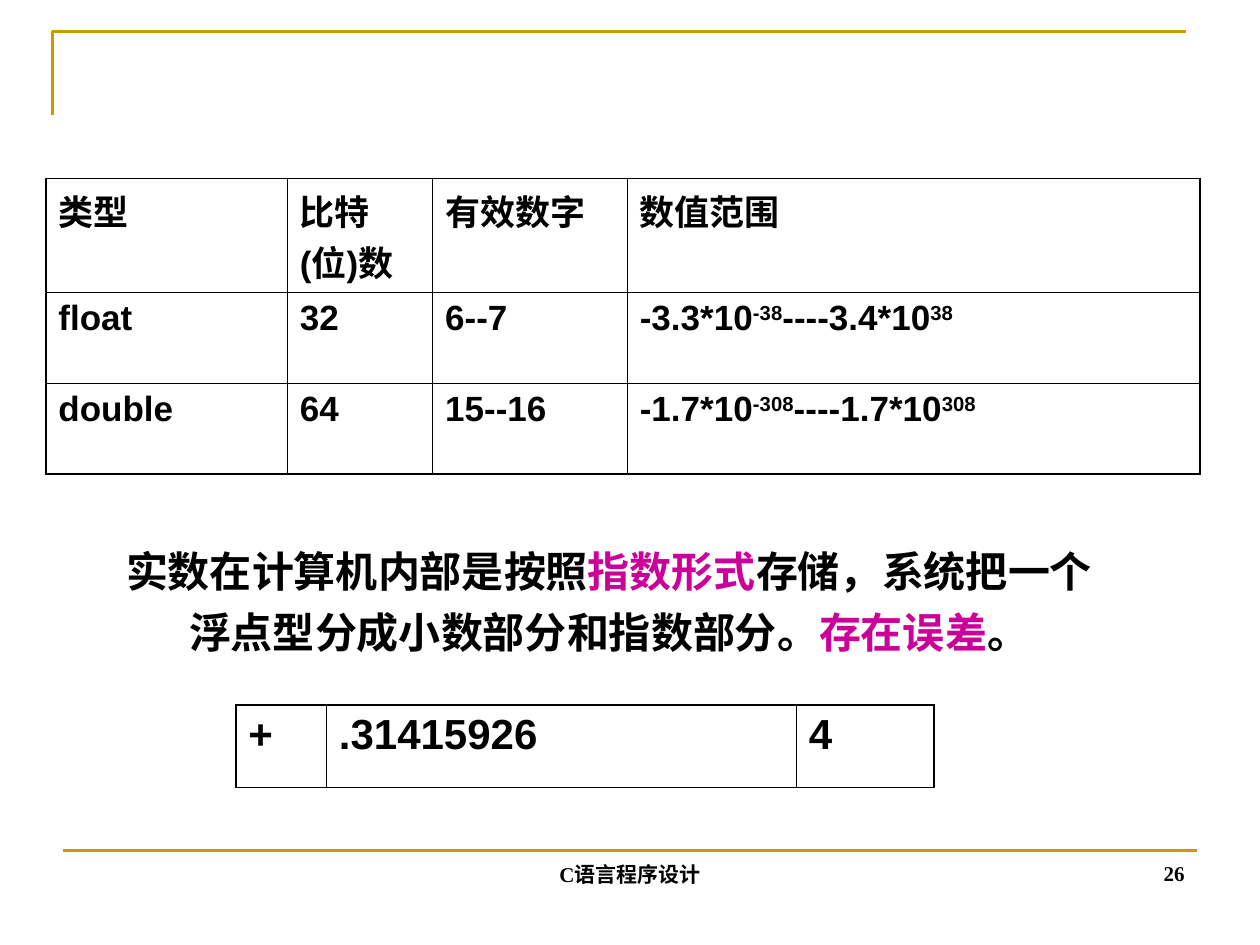
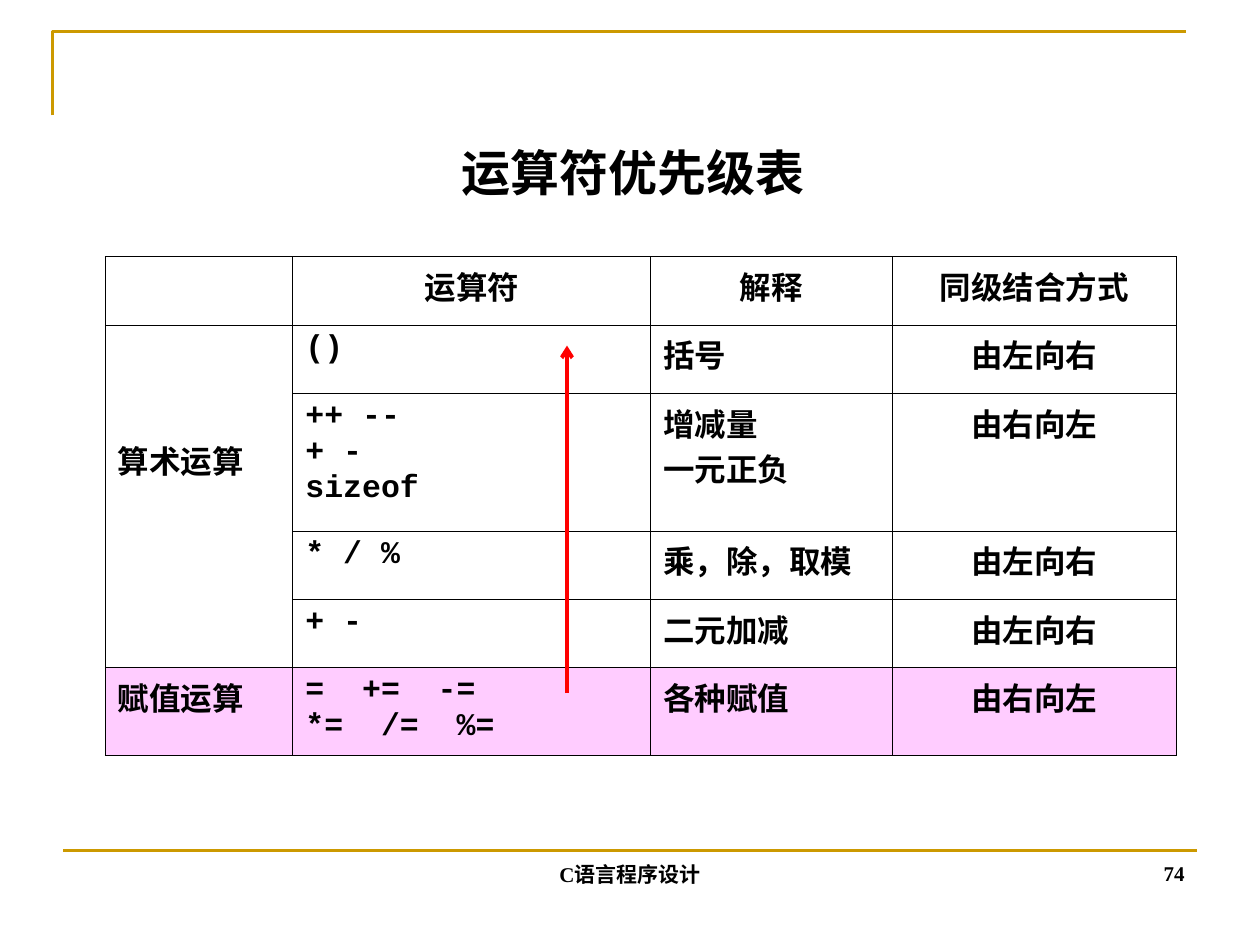
"""Build two C programming slides: real number types and operator precedence."""
import lxml.etree
import pptx
import pptx.dml.color
import pptx.enum.shapes
import pptx.enum.text
import pptx.oxml.ns
import pptx.util

Pt = pptx.util.Pt
ALIGN = pptx.enum.text.PP_ALIGN
ANCHOR = pptx.enum.text.MSO_ANCHOR
STRAIGHT = pptx.enum.shapes.MSO_CONNECTOR.STRAIGHT

BLACK, WHITE, GOLD = "000000", "FFFFFF", "CC9900"
MAGENTA, PINK, RED = "CC0099", "FFCCFF", "FF0000"
SANS, MONO, SERIF = "Arial", "Courier New", "Times New Roman"
THICK, THIN = 1.08, 0.45
FOOTER = "C语言程序设计"

REAL_TYPES = [
    ["类型", "比特(位)数", "有效数字", "数值范围"],
    ["float", "32", "6--7", [["-3.3*10", ("-38", "super"), "----3.4*10", ("38", "super")]]],
    ["double", "64", "15--16", [["-1.7*10", ("-308", "super"), "----1.7*10", ("308", "super")]]],
]
STORED_NUMBER = [["+", ".31415926", "4"]]
STORAGE_NOTE = [
    ["实数在计算机内部是按照", ("指数形式", MAGENTA), "存储，系统把一个"],
    ["浮点型分成小数部分和指数部分。", ("存在误差", MAGENTA), "。"],
]
PRECEDENCE_TITLE = "运算符优先级表"
PRECEDENCE = [
    ["", "运算符", "解释", "同级结合方式"],
    ["算术运算", "()", "括号", "由左向右"],
    ["", ["++ --", "+ -", "sizeof"], ["增减量", "一元正负"], "由右向左"],
    ["", "* / %", "乘，除，取模", "由左向右"],
    ["", "+ -", "二元加减", "由左向右"],
    ["赋值运算", ["=  +=  -=", "*=  /=  %="], "各种赋值", "由右向左"],
]


def color(hex_text):
    return pptx.dml.color.RGBColor.from_string(hex_text)


def write(frame, content, font, size, align=ALIGN.LEFT, gap=0):
    paragraphs = content if isinstance(content, list) else [content]
    for index, spans in enumerate(paragraphs):
        para = frame.add_paragraph() if index else frame.paragraphs[0]
        para.alignment = align
        if index:
            para.space_before = Pt(gap)
        para.font.name = font
        para.font.size = Pt(size)
        para.font.bold = True
        para.font.color.rgb = color(BLACK)
        for part in spans if isinstance(spans, list) else [spans]:
            text, style = part if isinstance(part, tuple) else (part, None)
            span = para.add_run()
            span.text = text
            if style == "super":
                span._r.get_or_add_rPr().set("baseline", "30000")
            elif style:
                span.font.color.rgb = color(style)


def add_text(page, place, content, size, align=ALIGN.CENTER, anchor=ANCHOR.TOP, wrap=True, gap=0):
    frame = page.shapes.add_textbox(*map(Pt, place)).text_frame
    frame.word_wrap = wrap
    frame.vertical_anchor = anchor
    write(frame, content, SERIF, size, align, gap)


def add_line(page, start, end, ink, width):
    line = page.shapes.add_connector(STRAIGHT, *map(Pt, start + end))
    line.line.color.rgb = color(ink)
    line.line.width = Pt(width)
    lxml.etree.SubElement(line._element.spPr, pptx.oxml.ns.qn("a:effectLst"))
    return line


def set_borders(cell, widths):
    properties = cell._tc.get_or_add_tcPr()
    for side, width in zip("LRTB", widths):
        edge = lxml.etree.SubElement(properties, pptx.oxml.ns.qn("a:ln" + side), w=str(Pt(width)))
        fill = lxml.etree.SubElement(edge, pptx.oxml.ns.qn("a:solidFill"))
        lxml.etree.SubElement(fill, pptx.oxml.ns.qn("a:srgbClr"), val=BLACK)


def add_grid(page, corner, widths, heights, rows, outer, look):
    """Add a bordered table; look(row, column) gives font, size, alignment and fill."""
    place = (*corner, sum(widths), sum(heights))
    table = page.shapes.add_table(len(rows), len(widths), *map(Pt, place)).table
    table.first_row = table.horz_banding = False
    for column, width in zip(table.columns, widths):
        column.width = Pt(width)
    last_row, last_column = len(rows) - 1, len(widths) - 1
    for r, row in enumerate(rows):
        table.rows[r].height = Pt(heights[r])
        for c, content in enumerate(row):
            cell = table.cell(r, c)
            at_edge = (c == 0, c == last_column, r == 0, r == last_row)
            set_borders(cell, [outer if edge else THIN for edge in at_edge])
            font, size, align, fill = look(r, c)
            cell.fill.solid()
            cell.fill.fore_color.rgb = color(fill)
            if content:
                write(cell.text_frame, content, font, size, align)
    return table


def add_page(deck, number):
    page = deck.slides.add_slide(deck.slide_layouts[6])
    builder = page.shapes.build_freeform(Pt(30), Pt(66), scale=1.0)
    builder.add_line_segments([(Pt(30), Pt(18)), (Pt(678), Pt(18))], close=False)
    corner = builder.convert_to_shape()
    corner.shadow.inherit = False
    corner.fill.background()
    corner.line.color.rgb = color(GOLD)
    corner.line.width = Pt(1.5)
    add_line(page, (36, 486), (684, 486), GOLD, 1.5)
    add_text(page, (246, 474.25, 228, 36), FOOTER, 12, anchor=ANCHOR.BOTTOM)
    add_text(page, (516, 473.5, 168, 36), number, 12, ALIGN.RIGHT, ANCHOR.BOTTOM)
    return page


def precedence_look(row, column):
    font = SERIF if row == 0 else (SANS, MONO, SERIF, SERIF)[column]
    align = ALIGN.CENTER if row == 0 or column == 3 else ALIGN.LEFT
    return font, 18, align, PINK if row == len(PRECEDENCE) - 1 else WHITE


def build_real_types(deck):
    page = add_page(deck, "26")
    add_grid(page, (26.2, 102), (138, 83, 111.25, 327.25), (65.25, 52, 51.75), REAL_TYPES, THICK,
             lambda row, column: (SANS, 20, ALIGN.LEFT, WHITE))
    add_grid(page, (134.75, 402.75), (51.75, 268.5, 78.75), (47.25,), STORED_NUMBER, THICK,
             lambda row, column: (SANS, 24, ALIGN.LEFT, WHITE))
    add_text(page, (48, 308.25, 600, 71), STORAGE_NOTE, 24, wrap=False, gap=6)


def build_precedence(deck):
    page = add_page(deck, "74")
    add_text(page, (37.75, 78, 648, 40), PRECEDENCE_TITLE, 28, anchor=ANCHOR.MIDDLE)
    table = add_grid(page, (60.1, 146.5), (107.25, 204.5, 138, 162.25),
                     (39.25, 39, 78.75, 39, 39, 50), PRECEDENCE, THIN, precedence_look)
    arithmetic = table.cell(1, 0)
    arithmetic.merge(table.cell(4, 0))
    arithmetic.margin_top = Pt(63.75)
    arrow = add_line(page, (324, 396), (324, 197.5), RED, 2.25)
    lxml.etree.SubElement(arrow.line._get_or_add_ln(), pptx.oxml.ns.qn("a:tailEnd"), type="arrow")


def main():
    deck = pptx.Presentation()
    deck.slide_width, deck.slide_height = Pt(720), Pt(540)
    build_real_types(deck)
    build_precedence(deck)
    deck.save("out.pptx")


if __name__ == "__main__":
    main()
